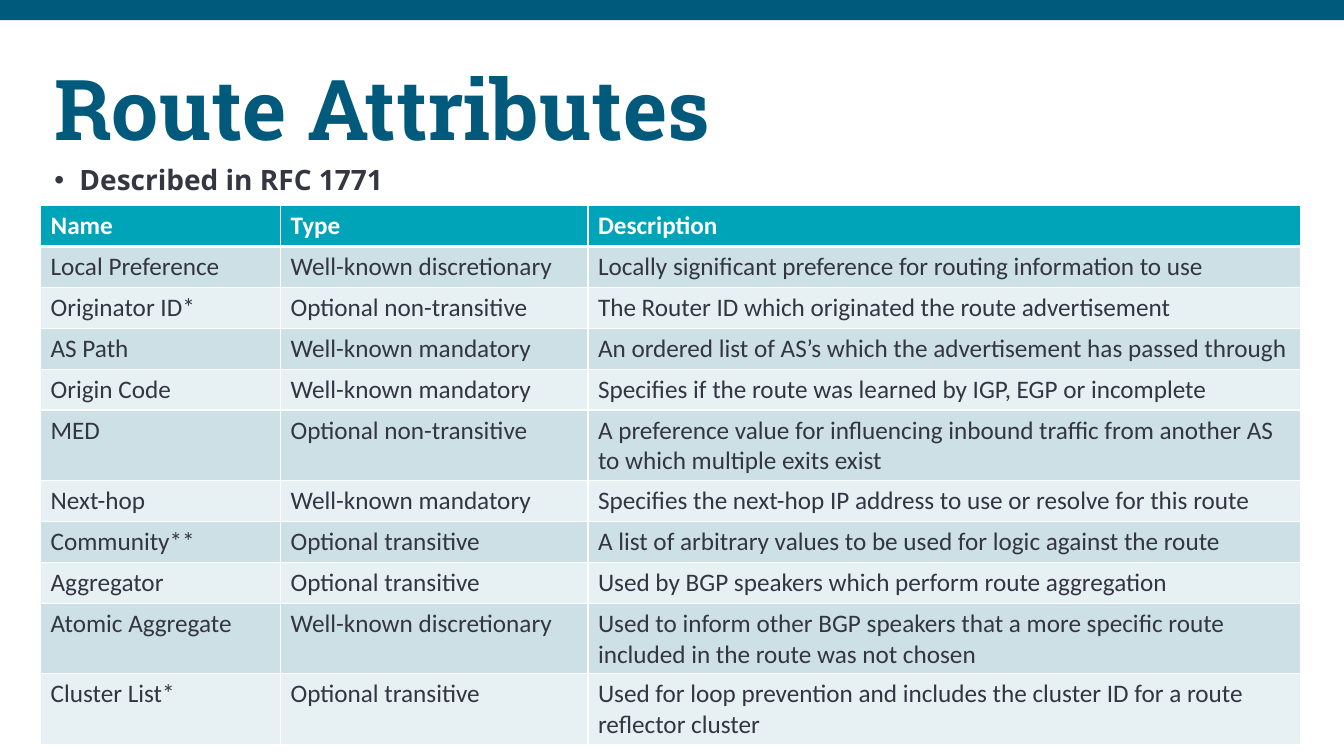
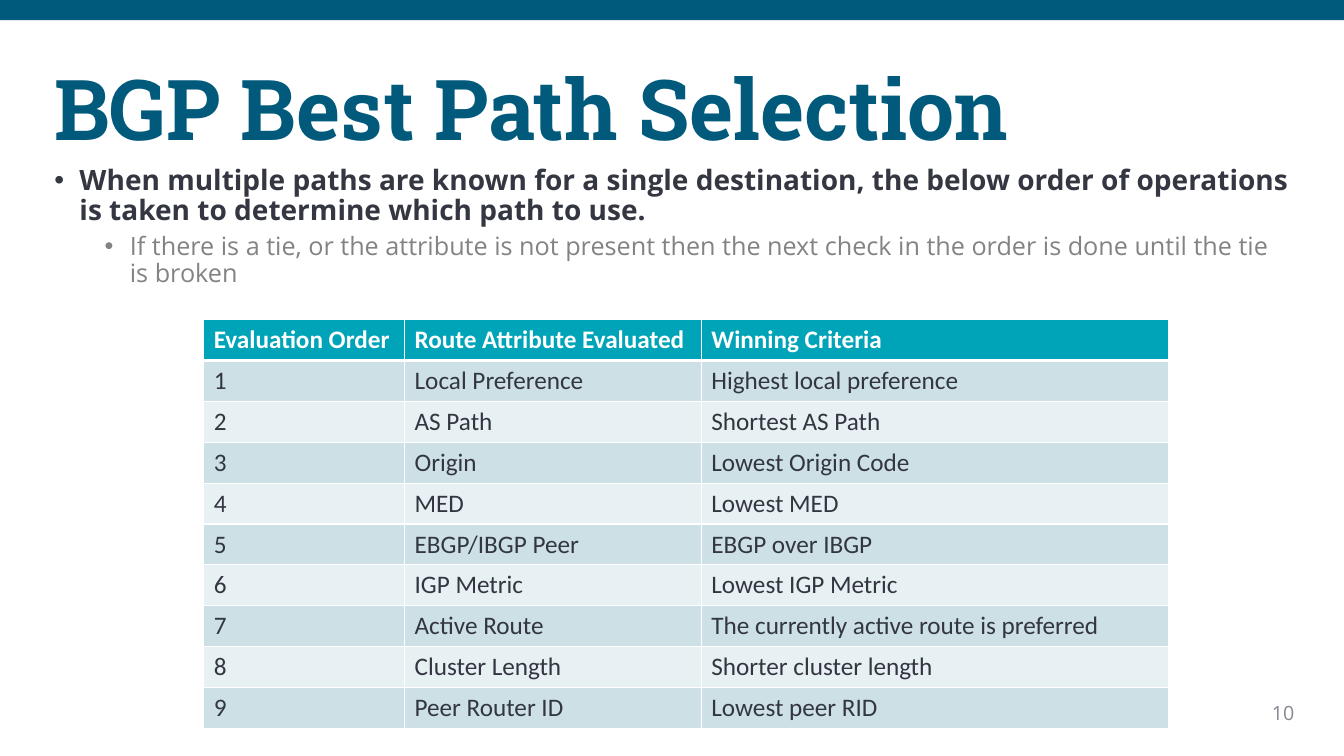
from dataclasses import dataclass

from lxml.etree import SubElement
from pptx import Presentation
from pptx.dml.color import RGBColor as Color
from pptx.enum.shapes import MSO_SHAPE as Preset
from pptx.enum.text import MSO_ANCHOR as Anchor, PP_ALIGN as Align
from pptx.oxml import parse_xml
from pptx.oxml.ns import nsdecls, qn
from pptx.util import Pt


@dataclass(frozen=True)
class Theme:
    band: str = "005A7C"
    title: str = "015A7C"
    lead: str = "343741"
    detail: str = "838383"
    number: str = "858891"
    cell: str = "333641"
    white: str = "FFFFFF"
    header: str = "00A4B8"
    stripes: tuple = ("CCE0E6", "E7F0F3")
    title_font: str = "Roboto Slab"
    body_font: str = "Open Sans"
    table_font: str = "Calibri"
    title_size: int = 60
    lead_size: int = 20
    detail_size: int = 18
    table_size: int = 18
    number_size: int = 14


class SlideBuilder:
    page_width = 960
    page_height = 540
    left = 31.7
    row_height = 29.2

    def __init__(self, theme):
        self.theme = theme
        self.deck = Presentation()
        self.deck.slide_width = Pt(self.page_width)
        self.deck.slide_height = Pt(self.page_height)
        self.page = None

    def start(self, title):
        theme = self.theme
        self.page = self.deck.slides.add_slide(self.deck.slide_layouts[6])
        band = self.page.shapes.add_shape(Preset.RECTANGLE, 0, 0, Pt(self.page_width), Pt(14.4))
        band.shadow.inherit = False
        band.fill.solid()
        band.fill.fore_color.rgb = Color.from_string(theme.band)
        band.line.fill.background()

        frame = self.frame(self.left, 28.8, 916.6, 104.4)
        frame.vertical_anchor = Anchor.MIDDLE
        para = frame.paragraphs[0]
        para.text = title
        para.line_spacing = 0.9
        self.style(para, theme.title_font, theme.title_size, theme.title, True)

    def frame(self, left, top, width, height):
        box = self.page.shapes.add_textbox(Pt(left), Pt(top), Pt(width), Pt(height))
        box.text_frame.word_wrap = True
        return box.text_frame

    def style(self, para, font, size, color, bold=False):
        para.font.name = font
        para.font.size = Pt(size)
        para.font.bold = bold
        para.font.color.rgb = Color.from_string(color)

    def bullets(self, width, height, lead, detail=None):
        theme = self.theme
        frame = self.frame(self.left, 115.2, width, height)
        self.bullet(frame.paragraphs[0], lead, 18, theme.lead_size, theme.lead, True)
        if detail:
            para = frame.add_paragraph()
            para.level = 1
            para.space_before = Pt(5)
            self.bullet(para, detail, 54, theme.detail_size, theme.detail)

    def bullet(self, para, text, indent, size, color, bold=False):
        para.text = text
        para.line_spacing = 0.9
        properties = para._p.get_or_add_pPr()
        properties.set("marL", str(Pt(indent)))
        properties.set("indent", str(-Pt(18)))
        SubElement(properties, qn("a:buFont")).set("typeface", "Arial")
        SubElement(properties, qn("a:buChar")).set("char", "•")
        self.style(para, self.theme.body_font, size, color, bold)

    def table(self, left, top, widths, rows):
        theme = self.theme
        table = self.page.shapes.add_table(
            len(rows), len(widths), Pt(left), Pt(top),
            Pt(sum(widths)), Pt(self.row_height * len(rows)),
        ).table
        for column, width in zip(table.columns, widths):
            column.width = Pt(width)
        for index, texts in enumerate(rows):
            table.rows[index].height = Pt(self.row_height)
            is_header = index == 0
            fill = theme.header if is_header else theme.stripes[(index - 1) % 2]
            color = theme.white if is_header else theme.cell
            for column, text in enumerate(texts):
                cell = table.cell(index, column)
                cell.fill.solid()
                cell.fill.fore_color.rgb = Color.from_string(fill)
                self.borders(cell, 3 if index == 1 else 1, 3 if is_header else 1)
                para = cell.text_frame.paragraphs[0]
                para.text = text
                self.style(para, theme.table_font, theme.table_size, color, is_header)

    def borders(self, cell, top, bottom):
        properties = cell._tc.get_or_add_tcPr()
        sides = (("lnL", 1), ("lnR", 1), ("lnT", top), ("lnB", bottom))
        for position, (side, width) in enumerate(sides):
            properties.insert(position, parse_xml(
                f'<a:{side} {nsdecls("a")} w="{Pt(width)}"><a:solidFill>'
                f'<a:srgbClr val="{self.theme.white}"/></a:solidFill></a:{side}>'
            ))

    def page_number(self, number):
        theme = self.theme
        para = self.frame(885.6, 496.8, 46.1, 24.5).paragraphs[0]
        para.text = str(number)
        para.alignment = Align.RIGHT
        self.style(para, theme.body_font, theme.number_size, theme.number)


ROUTE_ATTRIBUTES = [
    ("Name", "Type", "Description"),
    ("Local Preference", "Well-known discretionary",
     "Locally significant preference for routing information to use"),
    ("Originator ID*", "Optional non-transitive",
     "The Router ID which originated the route advertisement"),
    ("AS Path", "Well-known mandatory",
     "An ordered list of AS’s which the advertisement has passed through"),
    ("Origin Code", "Well-known mandatory",
     "Specifies if the route was learned by IGP, EGP or incomplete"),
    ("MED", "Optional non-transitive",
     "A preference value for influencing inbound traffic from another AS "
     "to which multiple exits exist"),
    ("Next-hop", "Well-known mandatory",
     "Specifies the next-hop IP address to use or resolve for this route"),
    ("Community**", "Optional transitive",
     "A list of arbitrary values to be used for logic against the route"),
    ("Aggregator", "Optional transitive",
     "Used by BGP speakers which perform route aggregation"),
    ("Atomic Aggregate", "Well-known discretionary",
     "Used to inform other BGP speakers that a more specific route "
     "included in the route was not chosen"),
    ("Cluster List*", "Optional transitive",
     "Used for loop prevention and includes the cluster ID for a route reflector cluster"),
]

SELECTION_CHECKS = [
    ("Local Preference", "Highest local preference"),
    ("AS Path", "Shortest AS Path"),
    ("Origin", "Lowest Origin Code"),
    ("MED", "Lowest MED"),
    ("EBGP/IBGP Peer", "EBGP over IBGP"),
    ("IGP Metric", "Lowest IGP Metric"),
    ("Active Route", "The currently active route is preferred"),
    ("Cluster Length", "Shorter cluster length"),
    ("Peer Router ID", "Lowest peer RID"),
]


def main():
    builder = SlideBuilder(Theme())

    builder.start("Route Attributes")
    builder.table(29, 146.9, (171.4, 219.6, 509), ROUTE_ATTRIBUTES)
    builder.bullets(563, 37.4, "Described in RFC 1771")

    builder.start("BGP Best Path Selection")
    builder.page_number(10)
    builder.bullets(
        896.4, 95.8,
        "When multiple paths are known for a single destination, the below order of "
        "operations is taken to determine which path to use.",
        "If there is a tie, or the attribute is not present then the next check in the "
        "order is done until the tie is broken",
    )
    header = ("Evaluation Order", "Route Attribute Evaluated", "Winning Criteria")
    checks = [(str(order), *check) for order, check in enumerate(SELECTION_CHECKS, 1)]
    builder.table(145.5, 228.3, (143.5, 212, 334), [header, *checks])

    builder.deck.save("out.pptx")


if __name__ == "__main__":
    main()
